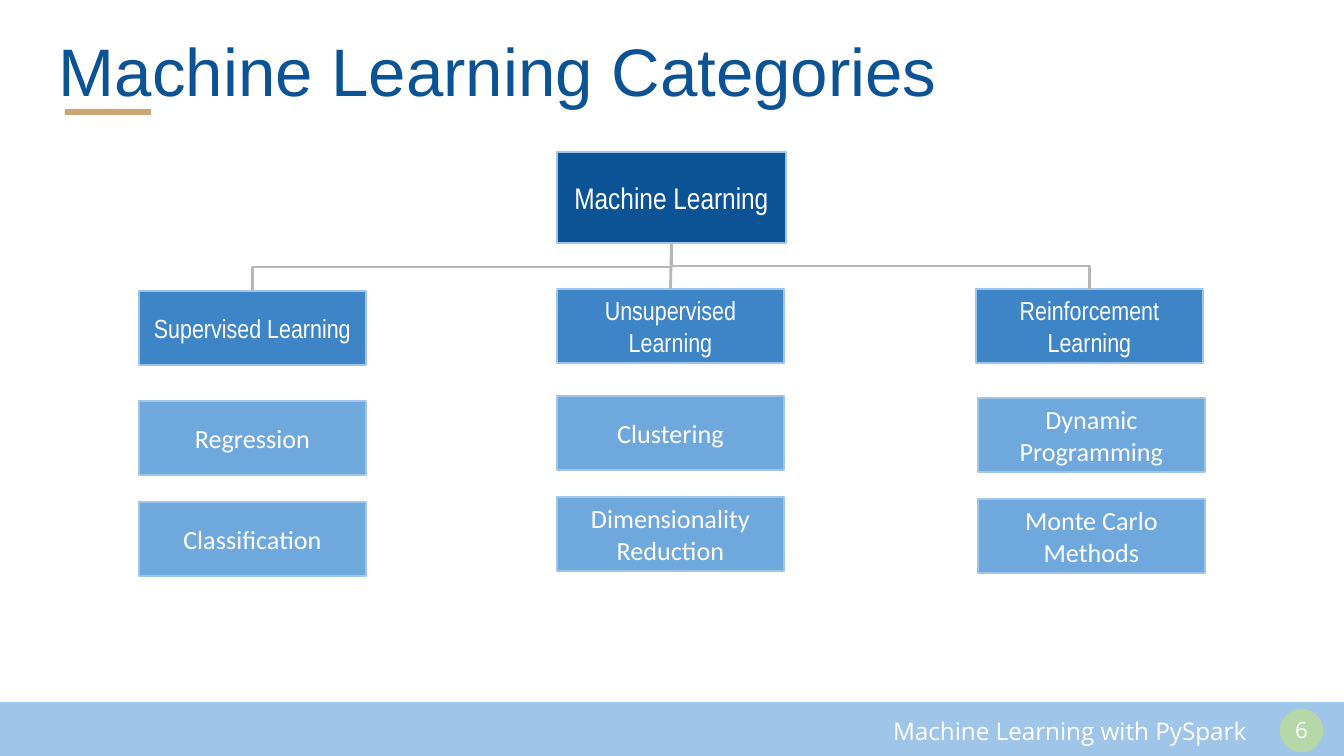
from lxml import etree
from pptx import Presentation
from pptx.dml.color import RGBColor
from pptx.enum import shapes, text
from pptx.oxml.ns import qn
from pptx.util import Pt

WIDTH, HEIGHT = 1344, 756
SCALE = 9144000 / WIDTH  # EMU per px

NAVY = RGBColor(0x0B, 0x53, 0x94)
BLUE = RGBColor(0x3D, 0x85, 0xC6)
SKY = RGBColor(0x6F, 0xA8, 0xDC)
PALE = RGBColor(0x9F, 0xC5, 0xE8)
GREEN = RGBColor(0xB6, 0xD7, 0xA8)
TAN = RGBColor(0xCC, 0xA6, 0x77)
GREY = RGBColor(0xB7, 0xB7, 0xB7)
WHITE = RGBColor(0xFF, 0xFF, 0xFF)

# Content
TITLE = "Machine Learning Categories"
FOOTER = "Machine Learning with PySpark"
PAGE_NUMBER = "6"
ROOT = "Machine Learning"
# category, its left and top, its topics, their left and first top
BRANCHES = [
    ("Supervised Learning", 139, 291, ["Regression", "Classification"], 139, 401),
    ("Unsupervised Learning", 557, 289, ["Clustering", "Dimensionality Reduction"], 557, 396),
    ("Reinforcement Learning", 976, 289, ["Dynamic Programming", "Monte Carlo Methods"], 978, 398),
]
ROOT_AREA = (557, 152, 229, 91)
BOX_SIZE = (227, 74)
TOPIC_STEP = 101
INSET = 13
BOTTOM_SITE, TOP_SITE = 2, 0


def emu(px):
    return round(px * SCALE)


def write(shape, words, size=14, font="Calibri", color=WHITE, align=text.PP_ALIGN.CENTER):
    frame = shape.text_frame
    frame.word_wrap = True
    frame.auto_size = text.MSO_AUTO_SIZE.NONE
    frame.vertical_anchor = text.MSO_ANCHOR.MIDDLE
    frame.margin_left = frame.margin_right = emu(INSET)
    frame.margin_top = frame.margin_bottom = emu(INSET)
    para = frame.paragraphs[0]
    para.alignment = align
    span = para.add_run()
    span.text = words
    span.font.size = Pt(size)
    span.font.name = font
    span.font.color.rgb = color


def add_block(page, area, fill, line=PALE, kind=shapes.MSO_SHAPE.RECTANGLE):
    box = page.shapes.add_shape(kind, *map(emu, area))
    box.shadow.inherit = False
    box.fill.solid()
    box.fill.fore_color.rgb = fill
    if line is None:
        box.line.fill.background()
    else:
        box.line.color.rgb = line
        box.line.width = Pt(0.75)
    return box


def add_label(page, area, words, **style):
    write(page.shapes.add_textbox(*map(emu, area)), words, **style)


def add_branch_line(page, parent, child):
    start_x, start_y = parent.left + parent.width // 2, parent.top + parent.height
    end_x, end_y = child.left + child.width // 2, child.top
    span, drop = end_x - start_x, end_y - start_y
    straight = abs(span) < emu(2)
    kind = shapes.MSO_CONNECTOR.STRAIGHT if straight else shapes.MSO_CONNECTOR.ELBOW
    link = page.shapes.add_connector(kind, start_x, start_y, end_x, end_y)
    link.begin_connect(parent, BOTTOM_SITE)
    link.end_connect(child, TOP_SITE)
    if not straight:
        # Turn the elbow so that it leaves downwards
        link.width, link.height = drop, abs(span)
        link.left = (start_x + end_x - drop) // 2
        link.top = (start_y + end_y - abs(span)) // 2
        frame = link._element.spPr.find(qn("a:xfrm"))
        frame.set("rot", str((90 if span < 0 else 270) * 60000))
        frame.set("flipH", "0" if span < 0 else "1")
    link.line.color.rgb = GREY
    link.line.width = Pt(1.5)
    etree.SubElement(link._element.spPr, qn("a:effectLst"))


def main():
    deck = Presentation()
    deck.slide_width, deck.slide_height = emu(WIDTH), emu(HEIGHT)
    page = deck.slides.add_slide(deck.slide_layouts[5])

    # Title and accent
    title = page.shapes.title
    title.left, title.top, title.width, title.height = map(emu, (46, 24, 1253, 91))
    write(title, TITLE, size=36, font="Arial", color=NAVY, align=text.PP_ALIGN.LEFT)
    add_block(page, (65, 109, 86, 6), TAN, line=None)

    # Footer bar and page number
    add_block(page, (0, 703, WIDTH, 53), PALE)
    add_label(page, (832, 712, 427, 38), FOOTER, size=13, font="Open Sans",
              align=text.PP_ALIGN.RIGHT)
    add_block(page, (1279, 708, 45, 45), GREEN, kind=shapes.MSO_SHAPE.OVAL, line=PALE)
    add_label(page, (1267, 707, 69, 46), PAGE_NUMBER, size=12, font="Open Sans")

    # Tree of categories and topics
    root = add_block(page, ROOT_AREA, NAVY)
    write(root, ROOT, size=16, font="Arial Narrow")
    for category, left, top, topics, topic_left, topic_top in BRANCHES:
        head = add_block(page, (left, top, *BOX_SIZE), BLUE)
        write(head, category, font="Arial Narrow")
        add_branch_line(page, root, head)
        for row, topic in enumerate(topics):
            area = (topic_left, topic_top + row * TOPIC_STEP, *BOX_SIZE)
            write(add_block(page, area, SKY), topic)

    deck.save("out.pptx")


if __name__ == "__main__":
    main()
